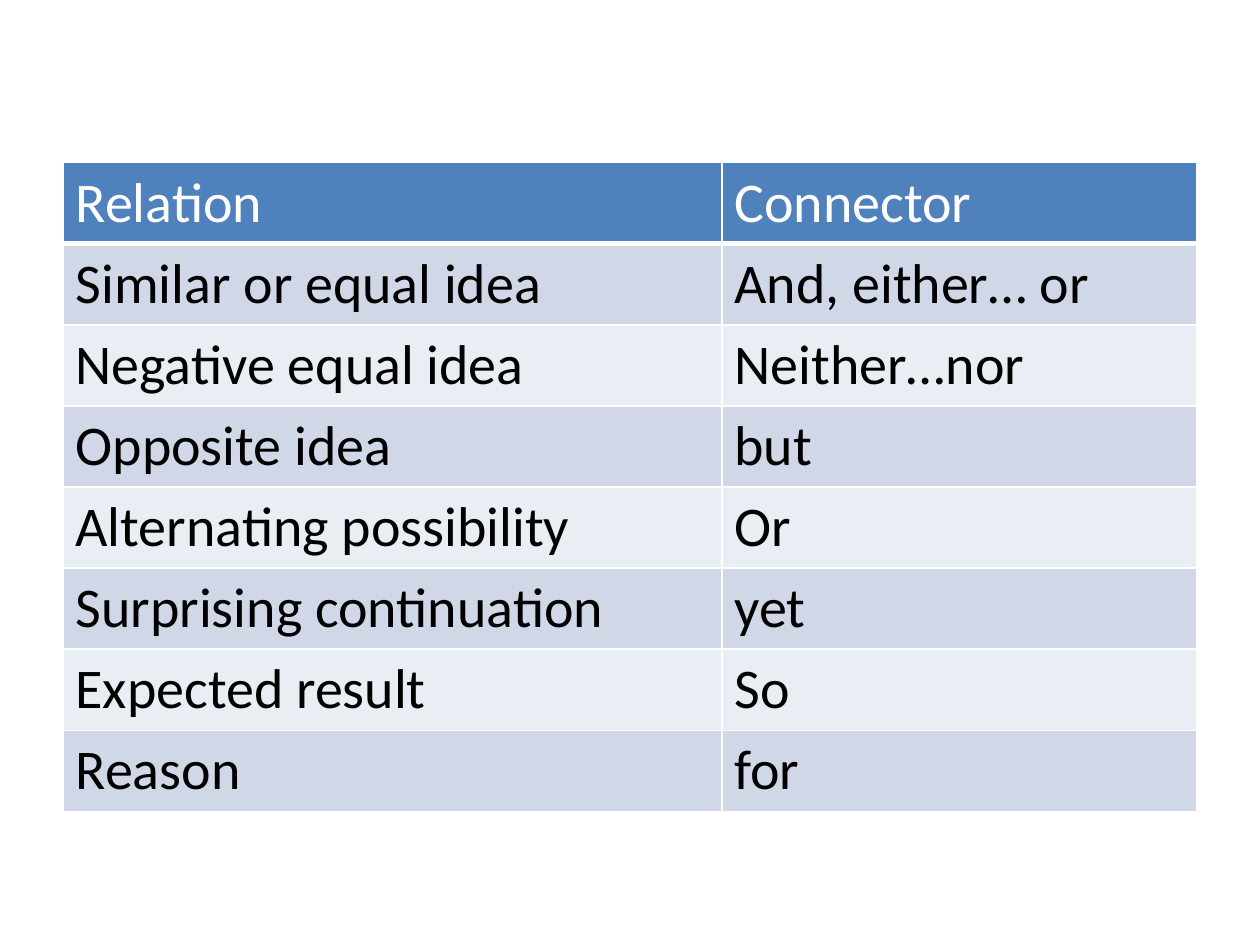
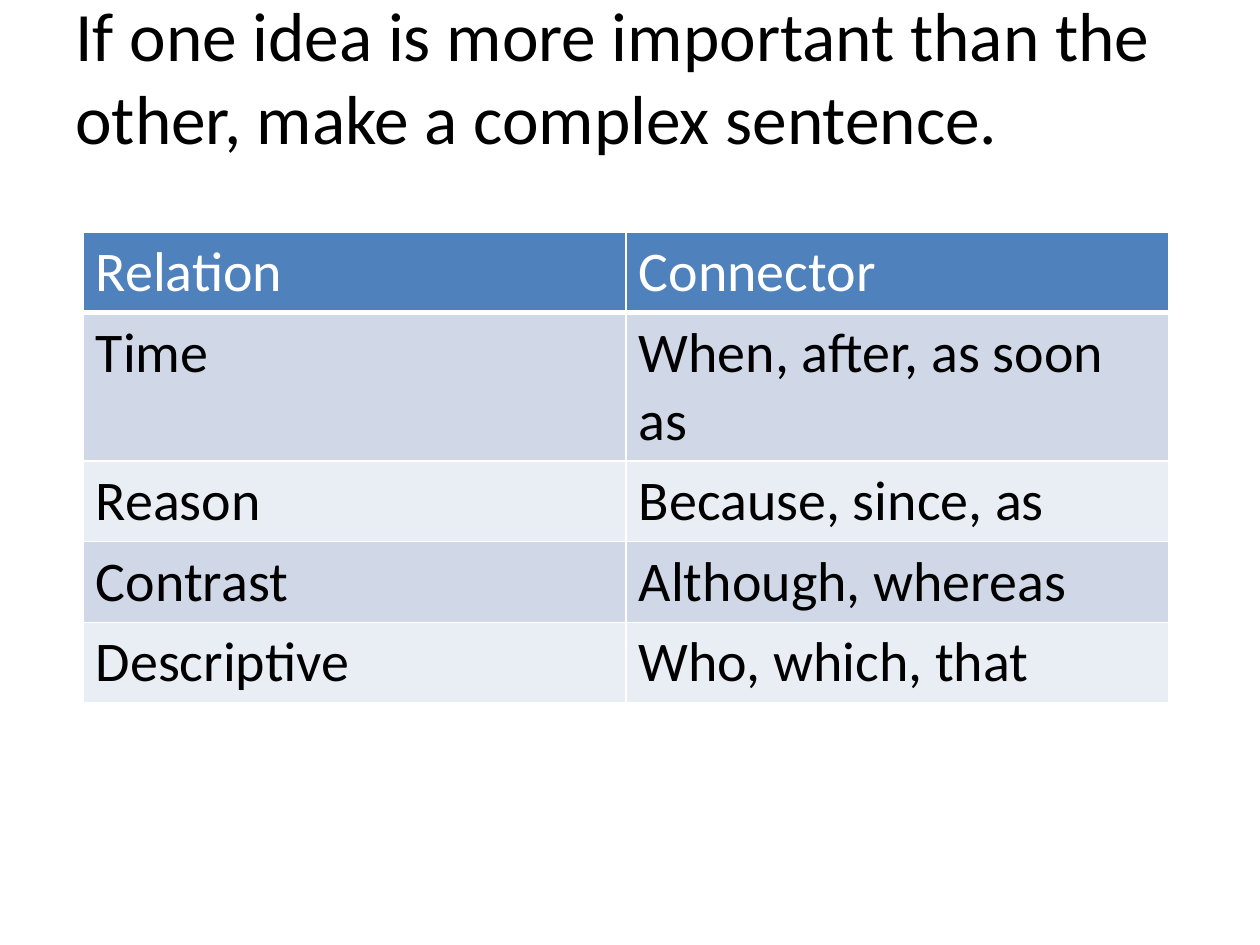
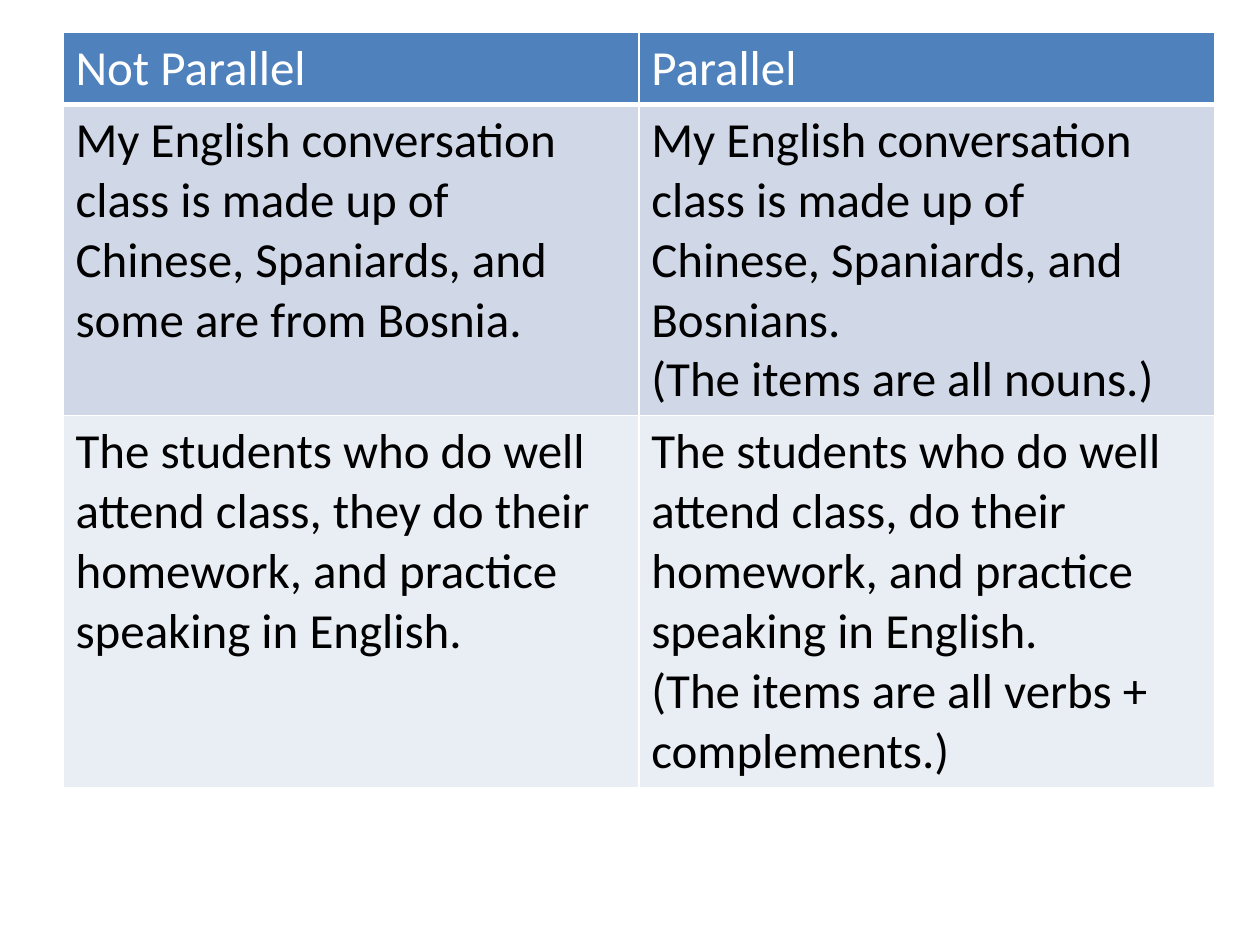
from lxml import etree
from pptx import Presentation
from pptx.dml.color import RGBColor
from pptx.enum.text import MSO_ANCHOR, PP_ALIGN
from pptx.oxml.ns import qn
from pptx.util import Inches, Pt

LEFT = PP_ALIGN.LEFT
MIDDLE = MSO_ANCHOR.MIDDLE

FONT = "Calibri"
HEADER_FILL, HEADER_TEXT = "4F81BD", "FFFFFF"
BAND_FILLS = ("D0D8E8", "E9EDF4")
BODY_TEXT = "000000"
BORDER = "FFFFFF"
BORDER_WIDTH, HEADER_RULE_WIDTH = 1, 3
TITLE_SIZE = 39.6
TITLE_BOX = (0.5, 0.3, 9, 1.25)
TITLE_BOTTOM_INSET = 0.71

SLIDES = [
    {
        "title": None,
        "origin": (0.5, 1.29),
        "columns": (5.23, 3.77),
        "row_heights": (0.64,) * 8,
        "size": 32,
        "rows": [
            ("Relation", "Connector"),
            ("Similar or equal idea", "And, either… or"),
            ("Negative equal idea", "Neither…nor"),
            ("Opposite idea", "but"),
            ("Alternating possibility", "Or"),
            ("Surprising continuation", "yet"),
            ("Expected result", "So"),
            ("Reason", "for"),
        ],
    },
    {
        "title": "If one idea is more important than the other, make a complex sentence.",
        "origin": (0.66, 1.84),
        "columns": (4.31, 4.31),
        "row_heights": (0.64, 1.18, 0.64, 0.64, 0.64),
        "size": 32,
        "rows": [
            ("Relation", "Connector"),
            ("Time", "When, after, as soon as"),
            ("Reason", "Because, since, as"),
            ("Contrast", "Although, whereas"),
            ("Descriptive", "Who, which, that"),
        ],
    },
    {
        "title": None,
        "origin": (0.5, 0.26),
        "columns": (4.57, 4.57),
        "row_heights": (0.57, 2.47, 2.95),
        "size": 28,
        "rows": [
            ("Not Parallel", "Parallel"),
            (
                "My English conversation class is made up of Chinese, Spaniards, "
                "and some are from Bosnia.",
                "My English conversation class is made up of Chinese, Spaniards, "
                "and Bosnians.\n(The items are all nouns.)",
            ),
            (
                "The students who do well attend class, they do their homework, "
                "and practice speaking in English.",
                "The students who do well attend class, do their homework, "
                "and practice speaking in English.\n"
                "(The items are all verbs + complements.)",
            ),
        ],
    },
]


def rgb(value):
    return RGBColor.from_string(value)


def write(frame, text, size, color):
    for index, line in enumerate(text.split("\n")):
        paragraph = frame.add_paragraph() if index else frame.paragraphs[0]
        paragraph.alignment = LEFT
        run = paragraph.add_run()
        run.text = line
        run.font.name = FONT
        run.font.size = Pt(size)
        run.font.color.rgb = rgb(color)


def add_borders(cell, bottom_width):
    properties = cell._tc.get_or_add_tcPr()
    widths = {"L": BORDER_WIDTH, "R": BORDER_WIDTH, "T": BORDER_WIDTH, "B": bottom_width}
    for side, width in widths.items():
        line = etree.SubElement(properties, qn(f"a:ln{side}"), w=str(Pt(width)))
        fill = etree.SubElement(line, qn("a:solidFill"))
        etree.SubElement(fill, qn("a:srgbClr"), val=BORDER)


def add_title(slide, title):
    frame = slide.shapes.add_textbox(*map(Inches, TITLE_BOX)).text_frame
    frame.word_wrap = True
    frame.vertical_anchor = MIDDLE
    frame.margin_bottom = Inches(TITLE_BOTTOM_INSET)
    write(frame, title, TITLE_SIZE, BODY_TEXT)


def add_grid(slide, content):
    rows, columns, heights = content["rows"], content["columns"], content["row_heights"]
    extent = (*content["origin"], sum(columns), sum(heights))
    table = slide.shapes.add_table(len(rows), len(columns), *map(Inches, extent)).table
    for column, width in zip(table.columns, columns):
        column.width = Inches(width)
    for row, height in zip(table.rows, heights):
        row.height = Inches(height)
    for row_index, row in enumerate(rows):
        is_header = row_index == 0
        fill = HEADER_FILL if is_header else BAND_FILLS[(row_index - 1) % 2]
        color = HEADER_TEXT if is_header else BODY_TEXT
        for column_index, text in enumerate(row):
            cell = table.cell(row_index, column_index)
            add_borders(cell, HEADER_RULE_WIDTH if is_header else BORDER_WIDTH)
            cell.fill.solid()
            cell.fill.fore_color.rgb = rgb(fill)
            write(cell.text_frame, text, content["size"], color)


def main():
    deck = Presentation()
    deck.slide_width, deck.slide_height = Inches(10), Inches(7.5)
    blank = deck.slide_layouts[6]
    for content in SLIDES:
        slide = deck.slides.add_slide(blank)
        if content["title"]:
            add_title(slide, content["title"])
        add_grid(slide, content)
    deck.save("out.pptx")


if __name__ == "__main__":
    main()
